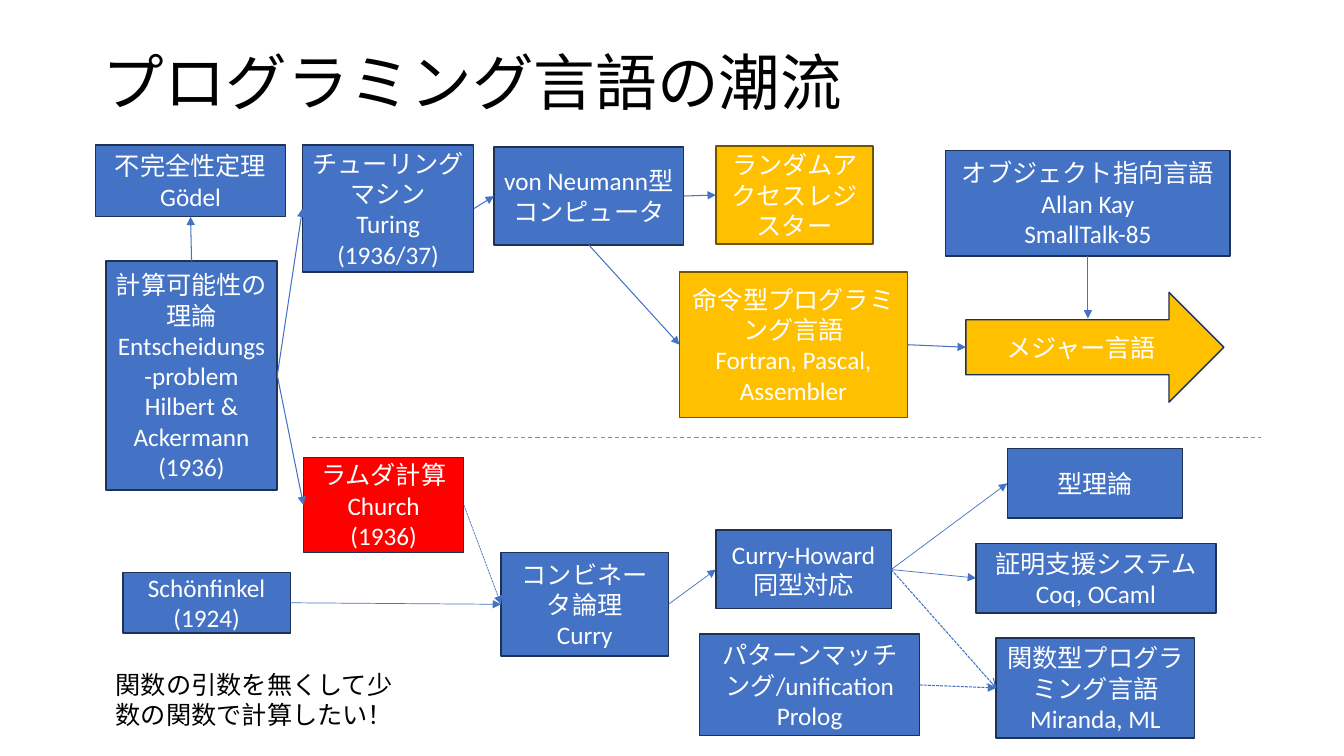
"""Build a slide charting the currents of programming language history."""
from lxml import etree
from pptx import Presentation
from pptx.dml.color import RGBColor
from pptx.enum.dml import MSO_LINE as Dash
from pptx.enum.shapes import MSO_CONNECTOR as Conn, MSO_SHAPE as Shape
from pptx.enum.text import MSO_ANCHOR as Anchor, MSO_AUTO_SIZE as AutoSize, PP_ALIGN as Align
from pptx.oxml.ns import qn
from pptx.util import Inches, Pt

THEME = {
    "font": "Calibri", "title": 44, "body": 18,
    "black": "000000", "white": "FFFFFF",
    "blue": "4472C4", "red": "FF0000", "gold": "FFC000", "green": "70AD47",
    "navy": "1E3256", "brown": "705400",
}
TOP, LEFT, BOTTOM, RIGHT = range(4)

TITLE = ("プログラミング言語の潮流", (0.92, 0.4, 11.29, 0.89))
REMARK = ("関数の引数を無くして少数の関数で計算したい！", (1.05, 6.59, 2.98, 0.71))

BOXES = {
    "schonfinkel": ((1.22, 5.68, 1.66, 0.6), "blue", "navy", "Schönfinkel\n(1924)"),
    "combinator": ((4.97, 5.48, 1.66, 1.03), "blue", "navy", "コンビネータ論理\nCurry"),
    "lambda": ((3.01, 4.54, 1.59, 0.94), "red", "navy", "ラムダ計算\nChurch\n(1936)"),
    "curry_howard": ((7.1, 5.26, 1.74, 0.78), "blue", "navy", "Curry-Howard\n同型対応"),
    "types": ((9.99, 4.45, 1.74, 0.69), "blue", "navy", "型理論"),
    "provers": ((9.68, 5.39, 2.38, 0.69), "blue", "navy", "証明支援システム\nCoq, OCaml"),
    "functional": ((9.88, 6.33, 1.97, 0.99), "blue", "navy",
                   "関数型プログラミング言語\nMiranda, ML"),
    "turing": ((3, 1.44, 1.7, 1.26), "blue", "navy", "チューリングマシン\nTuring\n(1936/37)"),
    "computability": ((1.05, 2.59, 1.7, 2.27), "blue", "navy",
                      "計算可能性の理論\nEntscheidungs-problem\nHilbert & Ackermann\n(1936)"),
    "matching": ((6.94, 6.29, 2.18, 1.01), "blue", "navy",
                 "パターンマッチング/unification\nProlog"),
    "neumann": ((4.9, 1.46, 1.88, 0.97), "blue", "navy", "von Neumann型コンピュータ"),
    "imperative": ((6.74, 2.7, 2.26, 1.44), "gold", "brown",
                   "命令型プログラミング言語\nFortran, Pascal, Assembler"),
    "register": ((7.1, 1.45, 1.56, 0.97), "gold", "brown", "ランダムアクセスレジスター"),
    "objects": ((9.38, 1.49, 2.82, 1.05), "blue", "navy",
                "オブジェクト指向言語\nAllan Kay\nSmallTalk-85"),
    "godel": ((0.95, 1.44, 1.88, 0.71), "blue", "navy", "不完全性定理\nGödel"),
    "major": ((9.58, 2.9, 2.56, 1.09), "gold", "navy", "メジャー言語"),
}

LINKS = [
    ("schonfinkel", RIGHT, "combinator", LEFT, 0.5, None, "triangle"),
    ("lambda", RIGHT, "combinator", LEFT, 0.5, Dash.SQUARE_DOT, "triangle"),
    ("combinator", RIGHT, "curry_howard", LEFT, 0.5, None, "triangle"),
    ("curry_howard", RIGHT, "types", LEFT, 0.5, None, "triangle"),
    ("curry_howard", RIGHT, "provers", LEFT, 0.5, None, "triangle"),
    ("curry_howard", RIGHT, "functional", LEFT, 0.75, Dash.SQUARE_DOT, "arrow"),
    ("computability", RIGHT, "turing", LEFT, 0.75, None, "triangle"),
    ("computability", RIGHT, "lambda", LEFT, 0.75, None, "triangle"),
    ("matching", RIGHT, "functional", LEFT, 0.75, Dash.SQUARE_DOT, "triangle"),
    ("turing", RIGHT, "neumann", LEFT, 0.75, None, "triangle"),
    ("neumann", BOTTOM, "imperative", LEFT, 0.75, None, "triangle"),
    ("neumann", RIGHT, "register", LEFT, 0.75, None, "triangle"),
    ("computability", TOP, "godel", BOTTOM, 0.75, None, "triangle"),
    ("imperative", RIGHT, "major", LEFT, 0.75, None, "triangle"),
]
OBJECTS_TO_MAJOR = ((10.79, 2.54), (10.79, 3.16))
DIVIDER = ((3.09, 4.34), (12.51, 4.34))


def color(name):
    return RGBColor.from_string(THEME[name])


def write(sp, text, size="body", ink="black", align=Align.LEFT, anchor=Anchor.TOP, spacing=None):
    tf = sp.text_frame
    tf.word_wrap = True
    tf.vertical_anchor = anchor
    for i, line in enumerate(text.split("\n")):
        p = tf.paragraphs[0] if i == 0 else tf.add_paragraph()
        p.alignment = align
        p.line_spacing = spacing
        r = p.add_run()
        r.text = line
        r.font.name = THEME["font"]
        r.font.size = Pt(THEME[size])
        r.font.color.rgb = color(ink)
    return tf


def add_box(s, at, fill, edge, text, preset=Shape.RECTANGLE):
    sp = s.shapes.add_shape(preset, *map(Inches, at))
    sp.shadow.inherit = False
    sp.fill.solid()
    sp.fill.fore_color.rgb = color(fill)
    sp.line.color.rgb = color(edge)
    sp.line.width = Pt(1)
    write(sp, text, ink="white", align=Align.CENTER, anchor=Anchor.MIDDLE)
    return sp


def add_line(s, start=(0, 0), end=(0, 0), ink="blue", width=0.75, dash=None, head=None):
    line = s.shapes.add_connector(Conn.STRAIGHT, *map(Inches, (*start, *end)))
    line.line.color.rgb = color(ink)
    line.line.width = Pt(width)
    if dash:
        line.line.dash_style = dash
    if head:
        etree.SubElement(line.line._get_or_add_ln(), qn("a:tailEnd"), type=head)
    etree.SubElement(line._element.spPr, qn("a:effectLst"))
    return line


def main():
    prs = Presentation()
    prs.slide_width, prs.slide_height = Inches(13.33), Inches(7.5)
    s = prs.slides.add_slide(prs.slide_layouts[6])

    text, at = TITLE
    write(s.shapes.add_textbox(*map(Inches, at)), text,
          size="title", anchor=Anchor.MIDDLE, spacing=0.9)
    text, at = REMARK
    tf = write(s.shapes.add_textbox(*map(Inches, at)), text)
    tf.auto_size = AutoSize.SHAPE_TO_FIT_TEXT

    presets = {"major": Shape.RIGHT_ARROW}
    boxes = {key: add_box(s, *box, preset=presets.get(key, Shape.RECTANGLE))
             for key, box in BOXES.items()}

    for source, out_side, target, in_side, width, dash, head in LINKS:
        link = add_line(s, width=width, dash=dash, head=head)
        link.begin_connect(boxes[source], out_side)
        link.end_connect(boxes[target], in_side)

    link = add_line(s, *OBJECTS_TO_MAJOR, head="triangle")
    link.begin_connect(boxes["objects"], BOTTOM)
    add_line(s, *DIVIDER, ink="green", dash=Dash.DASH)

    prs.save("out.pptx")


if __name__ == "__main__":
    main()
